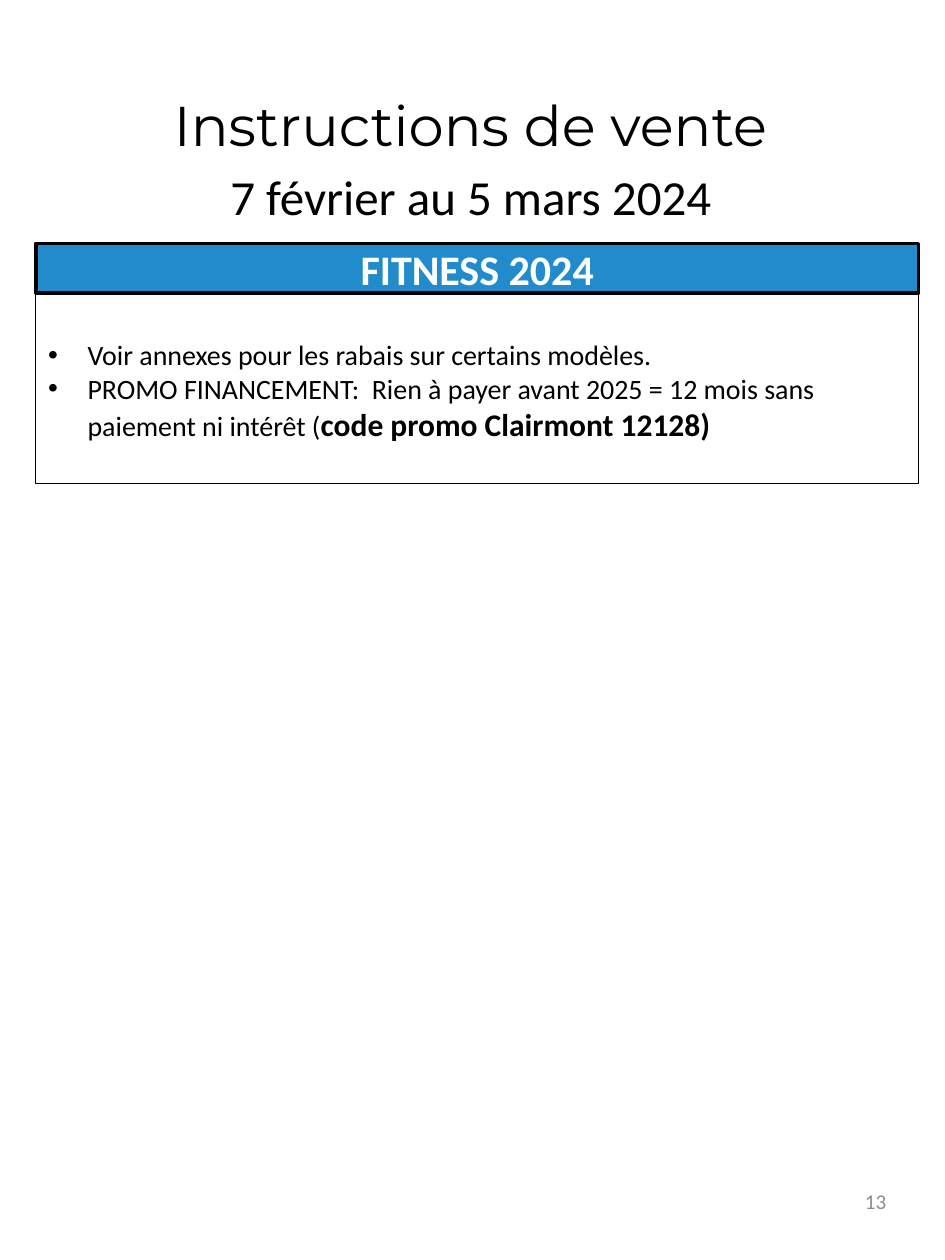
from dataclasses import dataclass, field
from typing import Any

from lxml import etree
from pptx import Presentation
from pptx import util as u
from pptx.dml.color import RGBColor
from pptx.enum import shapes, text
from pptx.oxml.ns import qn

COLOURS = {"ink": "000000", "banner": "218BCB", "light": "FFFFFF", "number": "8C8C8C"}
CENTER, LEFT, RIGHT = text.PP_ALIGN.CENTER, text.PP_ALIGN.LEFT, text.PP_ALIGN.RIGHT
TOP, MIDDLE = text.MSO_ANCHOR.TOP, text.MSO_ANCHOR.MIDDLE
BULLET_INDENT = 22.5


@dataclass
class Span:
    words: str
    size: float
    font: str = "Calibri"
    bold: bool = False
    colour: str = "ink"
    break_after: bool = False


@dataclass
class Para:
    spans: list[Span]
    bullet: bool = False
    format: dict[str, Any] = field(default_factory=dict)


@dataclass
class Block:
    left: float
    top: float
    width: float
    height: float
    paras: list[Para]
    anchor: Any = TOP
    top_inset: float = 3.6
    framed: bool = False
    fill: str | None = None
    line_width: float = 0.75


def rgb(name: str) -> RGBColor:
    return RGBColor.from_string(COLOURS[name])


def add_bullet(para: Any) -> None:
    properties = para._p.get_or_add_pPr()
    properties.set("marL", str(u.Pt(BULLET_INDENT)))
    properties.set("indent", str(-u.Pt(BULLET_INDENT)))
    etree.SubElement(properties, qn("a:buFont")).set("typeface", "Arial")
    etree.SubElement(properties, qn("a:buChar")).set("char", "•")


def write_para(para: Any, content: Para) -> None:
    if content.bullet:
        add_bullet(para)
    for name, value in content.format.items():
        setattr(para, name, value)
    for span in content.spans:
        run = para.add_run()
        run.text = span.words
        for name, value in {"name": span.font, "size": u.Pt(span.size), "bold": span.bold}.items():
            setattr(run.font, name, value)
        run.font.color.rgb = rgb(span.colour)
        if span.break_after:
            para.add_line_break()


def draw_block(page: Any, block: Block) -> None:
    place = [u.Pt(n) for n in (block.left, block.top, block.width, block.height)]
    if block.framed:
        box = page.shapes.add_shape(shapes.MSO_SHAPE.RECTANGLE, *place)
        box.shadow.inherit = False
        box.line.color.rgb = rgb("ink")
        box.line.width = u.Pt(block.line_width)
        if block.fill:
            box.fill.solid()
            box.fill.fore_color.rgb = rgb(block.fill)
        else:
            box.fill.background()
    else:
        box = page.shapes.add_textbox(*place)
    frame = box.text_frame
    settings = {"word_wrap": True, "auto_size": text.MSO_AUTO_SIZE.NONE,
                "vertical_anchor": block.anchor, "margin_top": u.Pt(block.top_inset)}
    for name, value in settings.items():
        setattr(frame, name, value)
    for index, content in enumerate(block.paras):
        para = frame.paragraphs[0] if index == 0 else frame.add_paragraph()
        write_para(para, content)


BLOCKS = [
    # Title and dates
    Block(26, 42.5, 486, 85, [Para(
        [Span("Instructions de vente", 32, "Montserrat", break_after=True),
         Span("7 février au 5 mars 2024", 28)],
        format={"alignment": CENTER, "line_spacing": 1.15, "space_after": u.Pt(10)})]),
    # Offer details
    Block(20.5, 167.5, 504.5, 109, [
        Para([Span("Voir annexes pour les rabais sur certains modèles.", 16)],
             bullet=True, format={"alignment": LEFT}),
        Para([Span("PROMO FINANCEMENT:  Rien à payer avant 2025 = 12 mois sans "
                   "paiement ni intérêt (", 16),
              Span("code promo Clairmont 12128)", 18, bold=True)],
             bullet=True, format={"alignment": LEFT}),
    ], top_inset=25.6, framed=True),
    # Banner
    Block(20.5, 139, 504.5, 28.5,
          [Para([Span("FITNESS 2024", 24, bold=True, colour="light")],
                format={"alignment": CENTER})],
          anchor=MIDDLE, framed=True, fill="banner", line_width=2),
    # Page number
    Block(387.5, 667.5, 126, 38,
          [Para([Span("13", 12, colour="number")], format={"alignment": RIGHT})],
          anchor=MIDDLE),
]


def main() -> None:
    deck = Presentation()
    deck.slide_width, deck.slide_height = u.Pt(540), u.Pt(720)
    page = deck.slides.add_slide(deck.slide_layouts[6])
    for block in BLOCKS:
        draw_block(page, block)
    deck.save("out.pptx")


if __name__ == "__main__":
    main()
